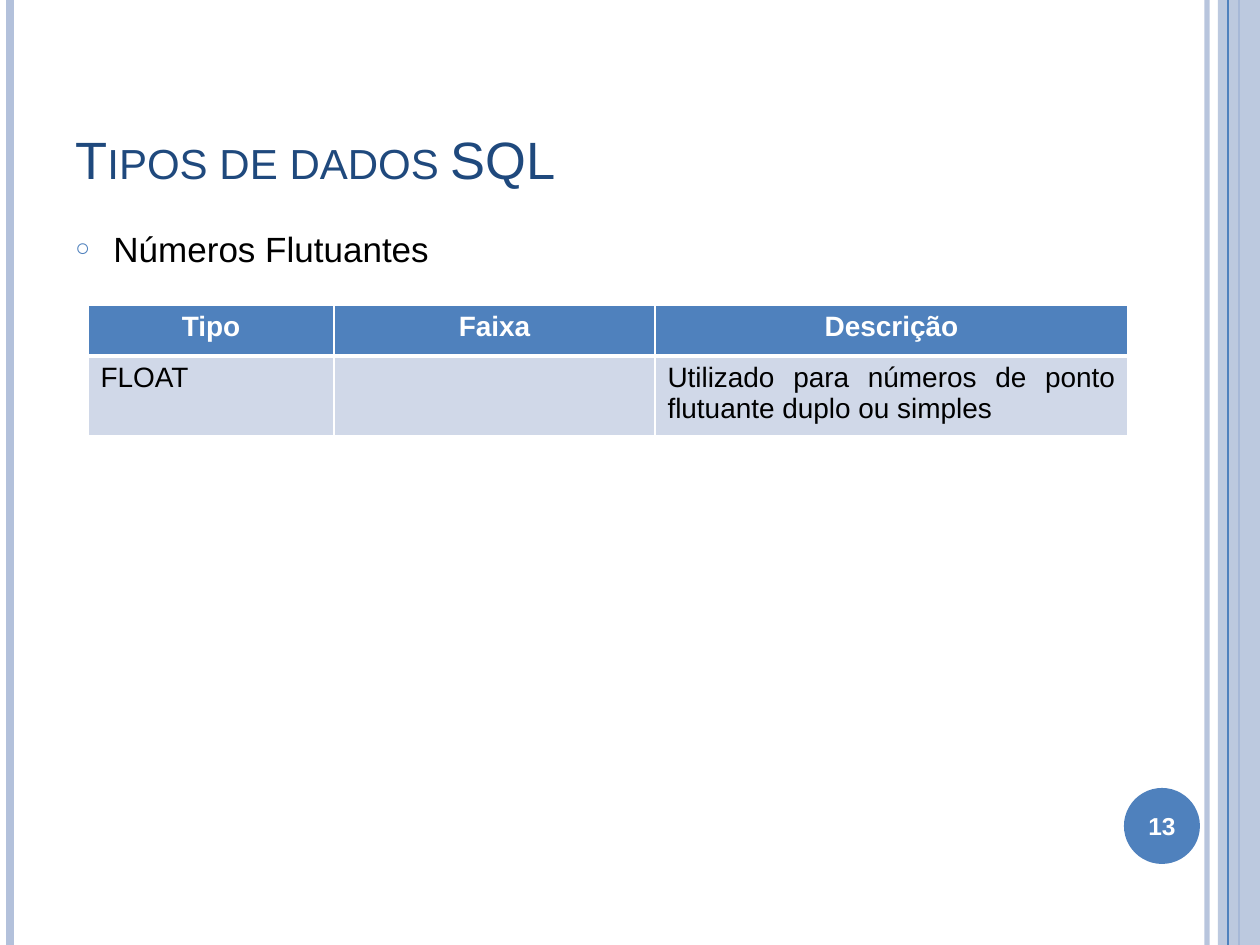
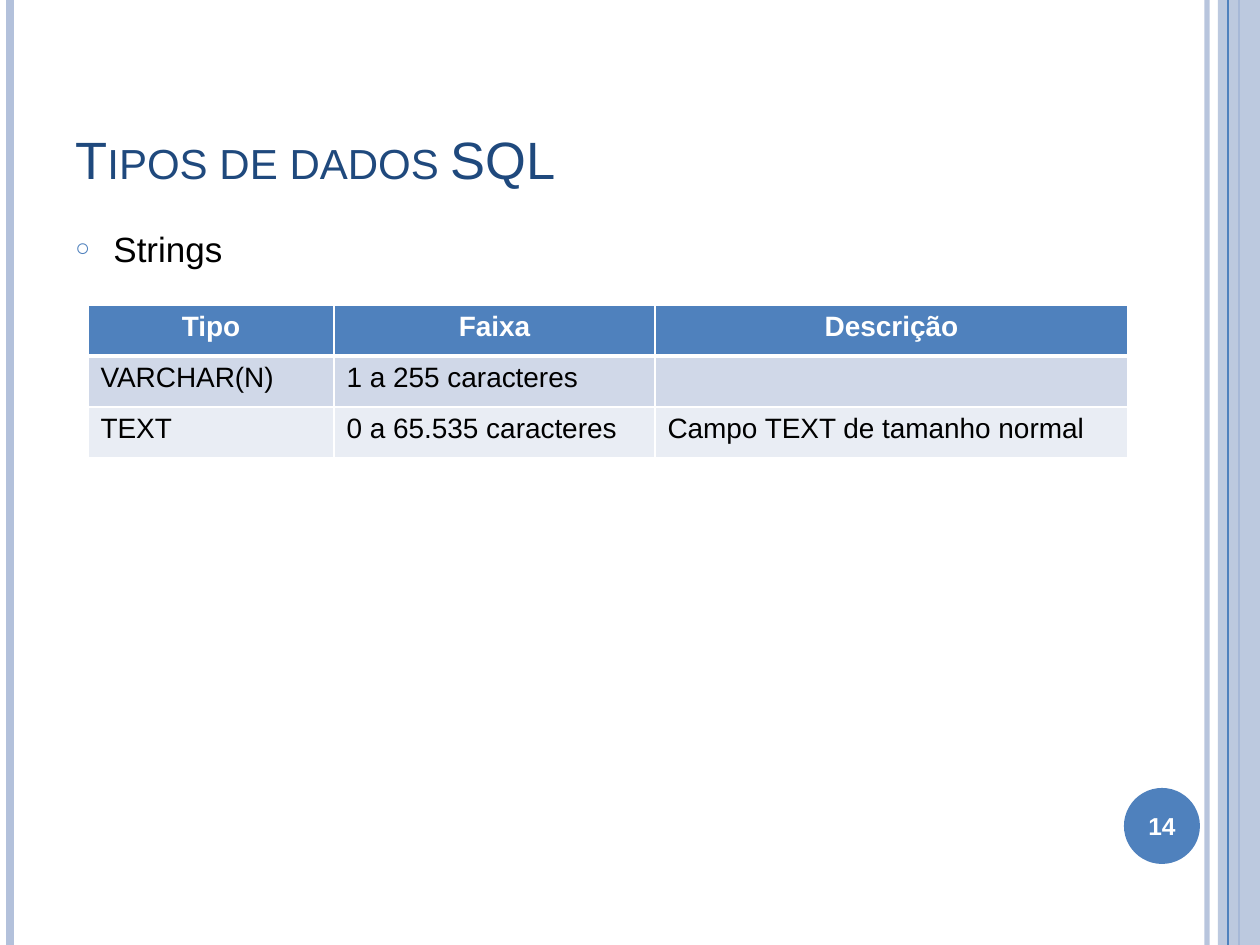
from dataclasses import dataclass
from lxml import etree
from pptx import Presentation, util as u
from pptx.dml.color import RGBColor
from pptx.enum import shapes, text
from pptx.oxml.ns import qn

# Content
TITLE = "Tipos de dados SQL"
HEADER = ("Tipo", "Faixa", "Descrição")
SLIDES = [
    {"number": 13, "topic": "Números Flutuantes", "row_heights": (51, 79),
     "rows": [("FLOAT", "", "Utilizado para números de ponto flutuante duplo ou simples")]},
    {"number": 14, "topic": "Strings", "row_heights": (51, 51, 51),
     "rows": [("VARCHAR(N)", "1 a 255 caracteres", ""),
              ("TEXT", "0 a 65.535 caracteres", "Campo TEXT de tamanho normal")]},
]


@dataclass(frozen=True)
class Theme:
    font: str = "Arial"
    accent: str = "4F81BD"
    pale: str = "B3C1DB"
    title: str = "1F497D"
    ink: str = "000000"
    white: str = "FFFFFF"
    bands: tuple = ("D0D8E8", "E9EDF4")
    title_size: int = 30
    body_size: int = 20
    table_size: int = 16
    number_size: int = 14


THEME = Theme()
ALIGN = text.PP_ALIGN

# Geometry in px
PX = 914400 / 126
WIDTH, HEIGHT = 1260, 945
TITLE_BOX = (63, 38, 1029, 158)
BODY_BOX = (63, 221, 1029, 672)
NUMBER_BOX = (1120, 790, 84, 72)
NUMBER_CIRCLE = (1124, 788, 76, 76)
SIDE_BAND = (1218, 0, 42, HEIGHT)
TABLE_LEFT, TABLE_TOP = 88, 305
COLUMNS = (246, 321, 473)
BULLET_INDENT = 38
# x, colour, width in points, opacity in percent
LINES_BEHIND = [(1207, THEME.pale, 3, 93), (10, THEME.pale, 4.5, 100),
                (1239, THEME.accent, 1.5, 100)]
LINE_IN_FRONT = (1228, THEME.accent, 0.75, 100)


def px(value):
    return u.Emu(round(value * PX))


def place(box):
    return [px(value) for value in box]


def add_xml(parent, tag, **attributes):
    element = etree.SubElement(parent, qn(tag))
    for name, value in attributes.items():
        element.set(name, str(value))
    return element


def set_opacity(shape, percent):
    if percent < 100:
        colour = next(shape._element.spPr.iter(qn("a:srgbClr")))
        add_xml(colour, "a:alpha", val=percent * 1000)


def add_run(paragraph, words, size, colour, bold=False):
    run = paragraph.add_run()
    run.text = words
    run.font.name, run.font.size, run.font.bold = THEME.font, u.Pt(size), bold
    run.font.color.rgb = RGBColor.from_string(colour)
    return run


def add_text(slide, box, anchor, align, *run_style):
    frame = slide.shapes.add_textbox(*place(box)).text_frame
    frame.word_wrap, frame.vertical_anchor = True, anchor
    paragraph = frame.paragraphs[0]
    paragraph.alignment = align
    return paragraph, add_run(paragraph, *run_style)


def add_vertical_line(slide, x, colour, width, opacity):
    line = slide.shapes.add_connector(shapes.MSO_CONNECTOR.STRAIGHT,
                                      px(x), 0, px(x), px(HEIGHT))
    line.line.color.rgb = RGBColor.from_string(colour)
    line.line.width = u.Pt(width)
    set_opacity(line, opacity)
    add_xml(line._element.spPr, "a:effectLst")


def add_filled_shape(slide, kind, box, colour, opacity=100):
    shape = slide.shapes.add_shape(kind, *place(box))
    shape.shadow.inherit = False
    shape.fill.solid()
    shape.fill.fore_color.rgb = RGBColor.from_string(colour)
    shape.line.fill.background()
    set_opacity(shape, opacity)


def add_frame(slide):
    for line in LINES_BEHIND:
        add_vertical_line(slide, *line)
    add_filled_shape(slide, shapes.MSO_SHAPE.RECTANGLE, SIDE_BAND, THEME.pale, 87)
    add_vertical_line(slide, *LINE_IN_FRONT)
    add_filled_shape(slide, shapes.MSO_SHAPE.OVAL, NUMBER_CIRCLE, THEME.accent)


def add_title(slide):
    _, run = add_text(slide, TITLE_BOX, text.MSO_ANCHOR.BOTTOM, ALIGN.LEFT,
                      TITLE, THEME.title_size, THEME.title)
    run._r.get_or_add_rPr().set("cap", "small")


def add_topic(slide, topic):
    paragraph, _ = add_text(slide, BODY_BOX, text.MSO_ANCHOR.TOP, ALIGN.JUSTIFY,
                            topic, THEME.body_size, THEME.ink)
    properties = paragraph._p.get_or_add_pPr()
    properties.set("marL", str(px(BULLET_INDENT)))
    properties.set("indent", str(-px(BULLET_INDENT)))
    add_xml(add_xml(properties, "a:buClr"), "a:srgbClr", val=THEME.accent)
    add_xml(properties, "a:buSzPct", val=70000)
    add_xml(properties, "a:buFont", typeface=THEME.font)
    add_xml(properties, "a:buChar", char="○")


def style_cell(cell, fill, borders):
    properties = cell._tc.get_or_add_tcPr()
    for side, width in borders.items():
        border = add_xml(properties, f"a:ln{side}", w=u.Pt(width))
        add_xml(add_xml(border, "a:solidFill"), "a:srgbClr", val=THEME.white)
    cell.fill.solid()
    cell.fill.fore_color.rgb = RGBColor.from_string(fill)


def add_type_table(slide, rows, heights):
    table = slide.shapes.add_table(
        len(heights), len(COLUMNS),
        *place((TABLE_LEFT, TABLE_TOP, sum(COLUMNS), sum(heights)))).table
    for column, width in zip(table.columns, COLUMNS):
        column.width = px(width)
    for row, height in zip(table.rows, heights):
        row.height = px(height)
    for row_index, row in enumerate([HEADER, *rows]):
        header = row_index == 0
        fill = THEME.accent if header else THEME.bands[(row_index - 1) % 2]
        borders = {"L": 1, "R": 1, "T": 3 if row_index == 1 else 1, "B": 3 if header else 1}
        for column_index, words in enumerate(row):
            cell = table.cell(row_index, column_index)
            style_cell(cell, fill, borders)
            if not words:
                continue
            paragraph = cell.text_frame.paragraphs[0]
            last = column_index == len(COLUMNS) - 1
            paragraph.alignment = (ALIGN.CENTER if header
                                   else ALIGN.JUSTIFY if last else ALIGN.LEFT)
            add_run(paragraph, words, THEME.table_size,
                    THEME.white if header else THEME.ink, header)


def main():
    presentation = Presentation()
    presentation.slide_width, presentation.slide_height = px(WIDTH), px(HEIGHT)
    for content in SLIDES:
        slide = presentation.slides.add_slide(presentation.slide_layouts[6])
        add_frame(slide)
        add_title(slide)
        add_topic(slide, content["topic"])
        add_text(slide, NUMBER_BOX, text.MSO_ANCHOR.MIDDLE, ALIGN.CENTER,
                 str(content["number"]), THEME.number_size, THEME.white, True)
        add_type_table(slide, content["rows"], content["row_heights"])
    presentation.save("out.pptx")


if __name__ == "__main__":
    main()
